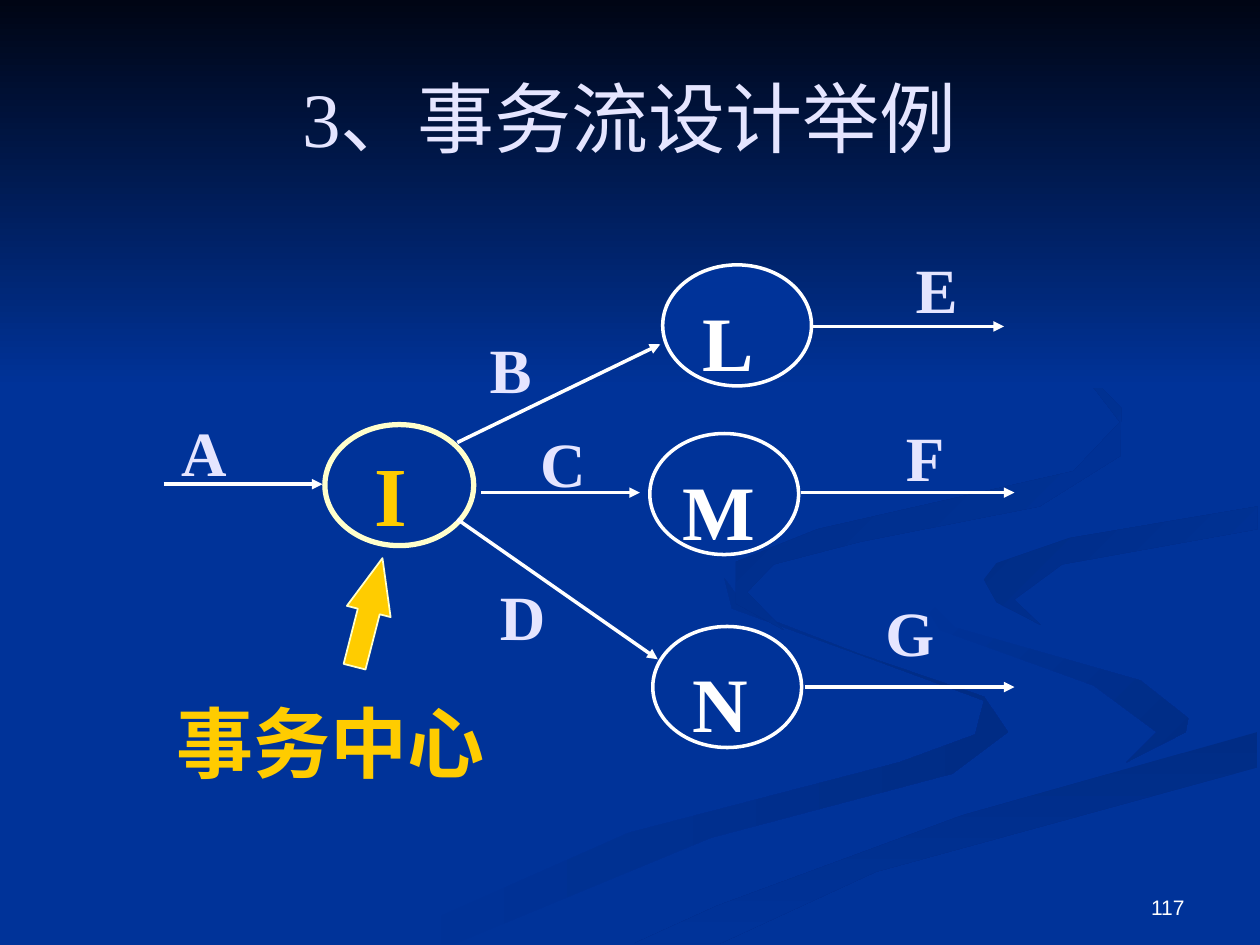
from lxml.etree import SubElement
from pptx import Presentation
from pptx.dml.color import RGBColor
from pptx.enum.shapes import MSO_CONNECTOR, MSO_SHAPE
from pptx.enum.text import MSO_ANCHOR, MSO_AUTO_SIZE, PP_ALIGN
from pptx.oxml.ns import qn
from pptx.util import Cm, Pt

BLUE = RGBColor(0x00, 0x33, 0x99)
NIGHT = RGBColor(0x00, 0x05, 0x14)
SHADE = RGBColor(0x00, 0x2C, 0x85)
WHITE = RGBColor(0xFF, 0xFF, 0xFF)
LAVENDER = RGBColor(0xE5, 0xE5, 0xFF)
CREAM = RGBColor(0xFF, 0xFF, 0xCC)
GOLD = RGBColor(0xFF, 0xCC, 0x00)

SERIF, SANS, CJK = "Times New Roman", "Arial", "Noto Sans CJK SC"

# Ribbons: start colour, end colour, angle, outline in thousandths of the width
RIBBONS = [
    (BLUE, SHADE, 0, [
        (781, 553), (682, 519), (594, 485), (575, 459), (581, 483), (697, 525), (781, 556),
        (774, 583), (714, 605), (499, 661), (300, 749), (361, 749), (564, 665), (756, 614),
        (800, 581)]),
    (BLUE, SHADE, 45, [
        (943, 570), (905, 540), (758, 498), (724, 464), (746, 500), (868, 544), (918, 581),
        (894, 605), (941, 581)]),
    (SHADE, BLUE, 90, [
        (503, 749), (571, 749), (695, 692), (998, 609), (998, 581), (764, 647), (569, 719)]),
    (SHADE, BLUE, 45, [
        (781, 460), (791, 478), (826, 496), (805, 476), (843, 448), (998, 420), (998, 402),
        (849, 427), (791, 447)]),
    (SHADE, BLUE, 45, [
        (683, 430), (825, 402), (889, 362), (890, 324), (843, 275), (762, 233), (846, 279),
        (889, 335), (852, 374), (649, 420), (584, 446), (584, 479), (622, 500), (593, 470),
        (614, 448)]),
    (NIGHT, BLUE, 90, [(0, 0), (0, 308), (1000, 308), (1000, 0)]),
]

# Diagram parts, in cm from the diagram's corner
NODE_WIDTH, NODE_HEIGHT = 3.0, 2.44
LABEL_DROP = 0.47
NODES = [  # text, left, top, label left, label width, size, text, line, line width
    ("I", 3.25, 3.63, 4.01, 1.17, 48, GOLD, CREAM, 3),
    ("L", 10.06, 0.41, 10.62, 1.55, 44, WHITE, WHITE, 2),
    ("M", 9.8, 3.81, 10.21, 1.96, 44, WHITE, WHITE, 2),
    ("N", 9.86, 7.7, 10.41, 1.63, 44, WHITE, WHITE, 2),
]
FLOWS = [  # label, label left, label top, label width, arrow start, arrow end
    ("A", 0.1, 3.28, 1.42, (0, 4.83), (3.2, 4.83)),
    ("B", 6.32, 1.6, 1.35, (5.92, 3.99), (10.01, 2.01)),
    ("C", 7.34, 3.51, 1.42, (6.4, 5.0), (9.6, 5.0)),
    ("D", 6.53, 6.58, 1.42, (5.92, 5.54), (9.96, 8.36)),
    ("E", 14.91, 0, 1.35, (13.06, 1.65), (16.94, 1.65)),
    ("F", 14.71, 3.38, 1.27, (12.85, 5.0), (17.15, 5.0)),
    ("G", 14.3, 6.91, 1.5, (12.93, 8.92), (17.15, 8.92)),
]


def write(frame, text, color, frame_format, **font_format):
    """Put one line of formatted text into a text frame."""
    for key, value in frame_format.items():
        setattr(frame, key, value)
    run = frame.paragraphs[0].add_run()
    run.text = text
    for key, value in font_format.items():
        setattr(run.font, key, value)
    run.font.color.rgb = color
    SubElement(run.font._element, qn("a:ea"), typeface=CJK)
    return frame.paragraphs[0]


def add_label(slide, box, text, color, wrap=False, **font_format):
    label = slide.shapes.add_textbox(*map(Cm, box))
    frame_format = {"word_wrap": wrap, "auto_size": MSO_AUTO_SIZE.SHAPE_TO_FIT_TEXT}
    write(label.text_frame, text, color, frame_format, **font_format)


def paint(shape, fill, line, width):
    shape.shadow.inherit = False
    shape.fill.solid()
    shape.fill.fore_color.rgb = fill
    shape.line.color.rgb = line
    shape.line.width = Pt(width)


def add_flow(slide, start, end):
    flow = slide.shapes.add_connector(MSO_CONNECTOR.STRAIGHT, *map(Cm, start + end))
    flow.line.color.rgb = WHITE
    flow.line.width = Pt(2)
    SubElement(flow.line._get_or_add_ln(), qn("a:tailEnd"), type="triangle")
    SubElement(flow._element.spPr, qn("a:effectLst"))


def build_background(slide, left, top, width):
    slide.background.fill.solid()
    slide.background.fill.fore_color.rgb = BLUE
    for first, last, angle, outline in RIBBONS:
        builder = slide.shapes.build_freeform(*outline[0], scale=Cm(width) / 1000)
        builder.add_line_segments(outline[1:], close=True)
        ribbon = builder.convert_to_shape(Cm(left), Cm(top))
        ribbon.shadow.inherit = False
        ribbon.line.fill.background()
        ribbon.fill.gradient()
        ribbon.fill.gradient_angle = -angle % 360
        for stop, color in zip(ribbon.fill.gradient_stops, (first, last)):
            stop.color.rgb = color


def build_title(slide, left, top, width, height):
    title = slide.shapes.title
    title.left, title.top, title.width, title.height = map(Cm, (left, top, width, height))
    frame_format = {"vertical_anchor": MSO_ANCHOR.MIDDLE, "auto_size": MSO_AUTO_SIZE.NONE}
    line = write(title.text_frame, "3、事务流设计举例", LAVENDER, frame_format,
                 name=SERIF, size=Pt(44))
    line.alignment = PP_ALIGN.CENTER


def build_page_number(slide, left, top, width, height):
    number = slide.shapes.add_textbox(*map(Cm, (left, top, width, height)))
    frame_format = {"word_wrap": True, "vertical_anchor": MSO_ANCHOR.BOTTOM}
    line = write(number.text_frame, "117", WHITE, frame_format, name=SANS, size=Pt(12))
    line.alignment = PP_ALIGN.RIGHT


def build_diagram(slide, left, top):
    def place(x, y):
        return left + x, top + y

    # Processing nodes
    for text, x, y, label_x, label_width, size, color, line, line_width in NODES:
        box = place(x, y) + (NODE_WIDTH, NODE_HEIGHT)
        node = slide.shapes.add_shape(MSO_SHAPE.OVAL, *map(Cm, box))
        paint(node, BLUE, line, line_width)
        # The label's bottom hangs level for every letter size
        label_y = y + LABEL_DROP - (size - 44) * 0.06
        add_label(slide, place(label_x, label_y) + (label_width, size * 0.05), text, color,
                  name=SERIF, size=Pt(size), bold=True)

    # Data flows
    for text, x, y, width, start, end in FLOWS:
        add_flow(slide, place(*start), place(*end))
        add_label(slide, place(x, y) + (width, 1.78), text, LAVENDER,
                  name=SERIF, size=Pt(36), bold=True)

    # Transaction centre callout
    add_label(slide, place(0, 8.97) + (7.42, 2.11), "事务中心", GOLD, wrap=True,
              name=CJK, size=Pt(44), bold=True)
    pointer_box = place(3.0, 6.96) + (2.26, 0.91)
    pointer = slide.shapes.add_shape(MSO_SHAPE.RIGHT_ARROW, *map(Cm, pointer_box))
    pointer.adjustments[0], pointer.adjustments[1] = 0.5, 1.22
    pointer.rotation = 284.4
    paint(pointer, GOLD, CREAM, 1)


def main():
    deck = Presentation()
    deck.slide_width, deck.slide_height = Cm(25.4), Cm(19.05)
    slide = deck.slides.add_slide(deck.slide_layouts[5])
    build_background(slide, 0, 0, 25.4)
    build_page_number(slide, 18.21, 17.35, 5.92, 1.32)
    build_title(slide, 1.27, 0.76, 22.86, 3.18)
    build_diagram(slide, 3.3, 4.93)
    # Bring the title in front of the background
    slide.shapes._spTree.append(slide.shapes.title._element)
    deck.save("out.pptx")


if __name__ == "__main__":
    main()
